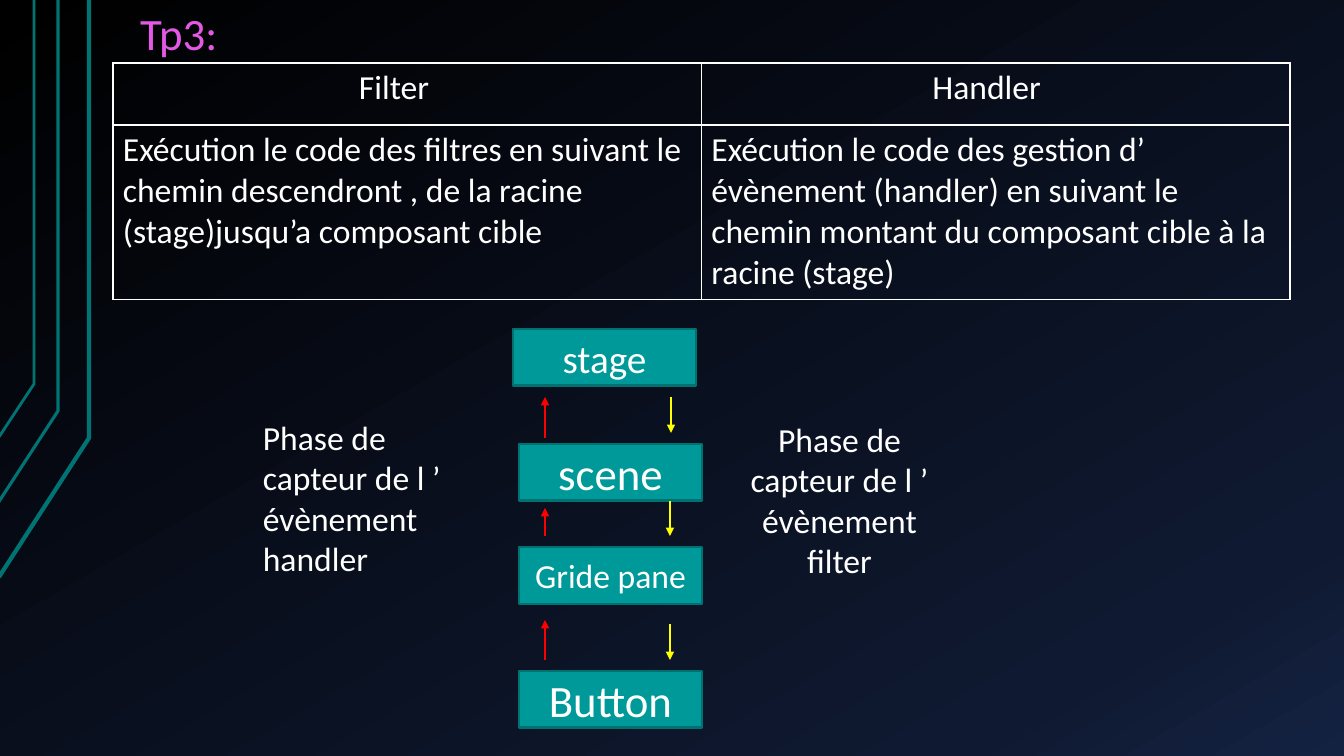
from copy import deepcopy

from lxml.etree import SubElement
from pptx import Presentation
from pptx.dml.color import RGBColor
from pptx.enum.shapes import MSO_CONNECTOR, MSO_SHAPE
from pptx.enum.text import MSO_ANCHOR, PP_ALIGN
from pptx.oxml import parse_xml
from pptx.oxml.ns import nsdecls, qn
from pptx.util import Pt

PX = 12192000 / 1344


def px(*lengths):
    return [round(length * PX) for length in lengths]


def write(frame, text, size, color="FFFFFF", align=PP_ALIGN.LEFT, anchor=MSO_ANCHOR.TOP):
    frame.text = text
    frame.word_wrap = True
    frame.vertical_anchor = anchor
    paragraph = frame.paragraphs[0]
    paragraph.alignment = align
    font = paragraph.runs[0].font
    font.name, font.size = "Calibri", Pt(size)
    font.color.rgb = RGBColor.from_string(color)


deck = Presentation()
deck.slide_width, deck.slide_height = px(1344, 756)
slide = deck.slides.add_slide(deck.slide_layouts[5])
shapes = slide.shapes

# Background gradient
background = slide.background.fill
background.gradient()
background.gradient_angle = 300
stop_list = slide.element.find(".//" + qn("a:gsLst"))
stop_list.append(deepcopy(stop_list[-1]))
stops = [(0, "000000"), (0.85, "0F1931"), (1, "142242")]
for stop, (position, color) in zip(background.gradient_stops, stops):
    stop.position = position
    stop.color.rgb = RGBColor.from_string(color)

# Bent lines along the left edge
for left, bottom, right, bend, width in [
    (-1, 577, 89, 438, 3),
    (-2, 503, 58, 411, 2.25),
    (-1, 437, 34, 384, 2),
]:
    builder = shapes.build_freeform(left, bottom, scale=PX)
    builder.add_line_segments([(right, bend), (right, 0)], close=False)
    bent_line = builder.convert_to_shape()
    bent_line.shadow.inherit = False
    bent_line.fill.background()
    bent_line.line.color.rgb = RGBColor.from_string("007373")
    bent_line.line.width = Pt(width)

# Title
title = shapes.title
title.left, title.top, title.width, title.height = px(130, 1, 389, 119)
write(title.text_frame, "Tp3:", 32, "E359E6")

# Comparison table: text and left margin of each cell
comparison = shapes.add_table(2, 2, *px(113, 63, 1177, 233)).table
comparison.first_row = comparison.horz_banding = False
for row, height in zip(comparison.rows, px(62, 171)):
    row.height = height
for column in comparison.columns:
    column.width = px(588.5)[0]
contents = [
    [("Filter", 246), ("Handler", 231)],
    [
        ("Exécution le code des filtres en suivant le chemin descendront , "
         "de la racine (stage)jusqu’a composant cible", 10),
        ("Exécution le code des gestion d’ évènement (handler) en suivant le "
         "chemin montant du composant cible à la racine (stage)", 10),
    ],
]
for r, row_contents in enumerate(contents):
    for c, (text, margin) in enumerate(row_contents):
        cell = comparison.cell(r, c)
        write(cell.text_frame, text, 24)
        cell.vertical_anchor = MSO_ANCHOR.TOP
        cell.margin_left = px(margin)[0]
        cell.fill.background()
        properties = cell._tc.get_or_add_tcPr()
        for i, side in enumerate(["lnL", "lnR", "lnT", "lnB"]):
            properties.insert(i, parse_xml(
                f'<a:{side} {nsdecls("a")} w="12700"><a:solidFill>'
                f'<a:srgbClr val="FFFFFF"/></a:solidFill></a:{side}>'))

# Scene graph nodes
for name, left, top, size in [
    ("stage", 513, 329, 28),
    ("scene", 519, 444, 32),
    ("Gride pane", 519, 547, 24),
    ("Button", 519, 671, 32),
]:
    node = shapes.add_shape(MSO_SHAPE.RECTANGLE, *px(left, top, 183, 57))
    node.shadow.inherit = False
    node.fill.solid()
    node.fill.fore_color.rgb = RGBColor.from_string("009999")
    node.line.color.rgb = RGBColor.from_string("007171")
    node.line.width = Pt(2)
    write(node.text_frame, name, size, align=PP_ALIGN.CENTER, anchor=MSO_ANCHOR.MIDDLE)

# Filter arrows go down, handler arrows go up
for x, start, end, color in [
    (671, 397, 433, "FFFF00"),
    (670, 501, 536, "FFFF00"),
    (670, 624, 660, "FFFF00"),
    (545, 438, 397, "FF0000"),
    (545, 536, 508, "FF0000"),
    (545, 660, 620, "FF0000"),
]:
    arrow = shapes.add_connector(MSO_CONNECTOR.STRAIGHT, *px(x, start, x, end))
    arrow.line.color.rgb = RGBColor.from_string(color)
    arrow.line.width = Pt(2)
    SubElement(arrow.line._get_or_add_ln(), qn("a:tailEnd"), type="triangle")
    SubElement(arrow._element.spPr, qn("a:effectLst"))

# Phase captions
for phase, left, top, align in [
    ("handler", 253, 412, PP_ALIGN.LEFT),
    ("filter", 735, 414, PP_ALIGN.CENTER),
]:
    caption = shapes.add_textbox(*px(left, top, 209, 173))
    write(caption.text_frame, f"Phase de capteur de l ’ évènement {phase}", 24, align=align)

deck.save("out.pptx")
